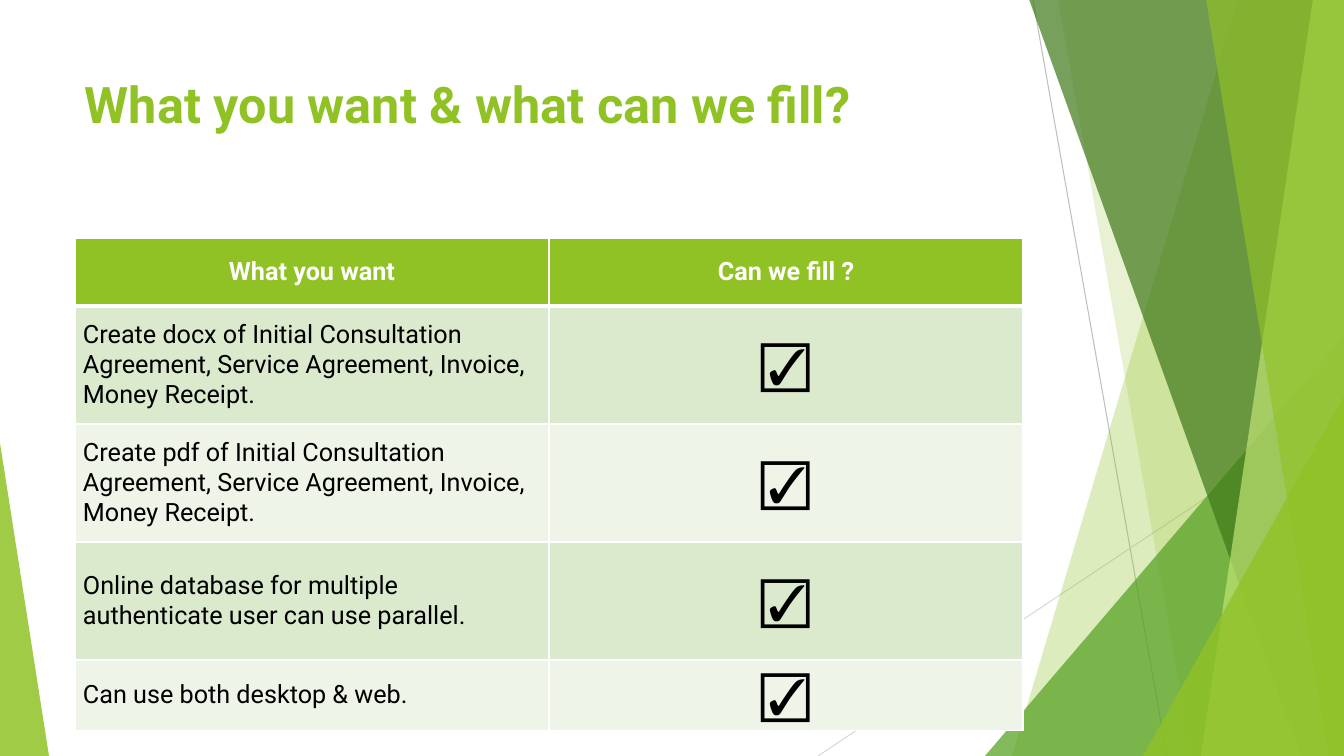
from lxml import etree
from pptx import Presentation
from pptx import util as u
from pptx.dml.color import RGBColor
from pptx.enum import shapes, text
from pptx.oxml import ns

COLORS = {
    "lime": "90C226",
    "green": "54A021",
    "forest": "3F7819",
    "pale": "C0E474",
    "band_dark": "DBE9CD",
    "band_light": "EEF4E8",
    "gray": "BFBFBF",
    "silver": "D9D9D9",
    "white": "FFFFFF",
    "black": "000000",
}
WIDTH, HEIGHT = 1344, 756


class SlidePainter:
    font = "Roboto"
    scale = u.Inches(1) / 100.8

    def __init__(self, deck):
        self.page = deck.slides.add_slide(deck.slide_layouts[6])

    @classmethod
    def px(cls, length):
        return u.Emu(round(length * cls.scale))

    def color(self, name):
        return RGBColor.from_string(COLORS[name])

    def paint(self, shape, color, opacity):
        shape.shadow.inherit = False
        shape.line.fill.background()
        shape.fill.solid()
        shape.fill.fore_color.rgb = self.color(color)
        tint = shape._element.spPr.find(".//" + ns.qn("a:srgbClr"))
        etree.SubElement(tint, ns.qn("a:alpha"), val=str(opacity * 1000))

    def polygon(self, points, color, opacity):
        builder = self.page.shapes.build_freeform(*points[0], scale=self.scale)
        builder.add_line_segments(points[1:], close=True)
        self.paint(builder.convert_to_shape(), color, opacity)

    def triangle(self, left, top, width, apex, color, opacity):
        box = map(self.px, (left, top, width, HEIGHT - top))
        shape = self.page.shapes.add_shape(
            shapes.MSO_SHAPE.ISOSCELES_TRIANGLE, *box)
        shape.adjustments[0] = apex
        self.paint(shape, color, opacity)

    def line(self, start, end, color):
        ends = map(self.px, (*start, *end))
        line = self.page.shapes.add_connector(
            shapes.MSO_CONNECTOR.STRAIGHT, *ends)
        line.line.color.rgb = self.color(color)
        line.line.width = u.Pt(0.75)
        etree.SubElement(line._element.spPr, ns.qn("a:effectLst"))

    def add_span(self, para, words, size, color, bold=False):
        span = para.add_run()
        span.text = words
        span.font.name = self.font
        span.font.size = u.Pt(size)
        span.font.bold = bold
        span.font.color.rgb = self.color(color)

    def title(self, left, top, width, height, words):
        box = self.page.shapes.add_textbox(
            *map(self.px, (left, top, width, height)))
        box.text_frame.word_wrap = True
        box.text_frame.vertical_anchor = text.MSO_ANCHOR.TOP
        self.add_span(box.text_frame.paragraphs[0], words, 36, "lime", True)

    def border(self, cell, side, points):
        edge = etree.SubElement(cell._tc.get_or_add_tcPr(),
                                ns.qn("a:ln" + side), w=str(u.Pt(points)))
        fill = etree.SubElement(edge, ns.qn("a:solidFill"))
        etree.SubElement(fill, ns.qn("a:srgbClr"), val=COLORS["white"])

    def cell(self, cell, words, size, color, fill, centered, borders, bold):
        for side, points in borders.items():
            self.border(cell, side, points)
        cell.fill.solid()
        cell.fill.fore_color.rgb = self.color(fill)
        cell.vertical_anchor = text.MSO_ANCHOR.MIDDLE
        cell.margin_left = cell.margin_right = self.px(8)
        cell.margin_top = cell.margin_bottom = self.px(5)
        para = cell.text_frame.paragraphs[0]
        if centered:
            para.alignment = text.PP_ALIGN.CENTER
        self.add_span(para, words, size, color, bold)

    def table(self, left, top, column_width, heights, rows):
        frame = self.page.shapes.add_table(
            len(rows), len(rows[0]),
            *map(self.px, (left, top, column_width * len(rows[0]), sum(heights))))
        table = frame.table
        table.first_row = table.horz_banding = False
        for column in table.columns:
            column.width = self.px(column_width)
        for r, (height, row) in enumerate(zip(heights, rows)):
            table.rows[r].height = self.px(height)
            header = r == 0
            fill = "lime" if header else ("band_light", "band_dark")[r % 2]
            borders = {"L": 1, "R": 1, "T": 3 if r == 1 else 1,
                       "B": 3 if header else 1}
            for c, words in enumerate(row):
                self.cell(table.cell(r, c), words,
                          36 if c and not header else 18,
                          "white" if header else "black",
                          fill, header or c == 1, borders, header)


def main():
    deck = Presentation()
    deck.slide_width = SlidePainter.px(WIDTH)
    deck.slide_height = SlidePainter.px(HEIGHT)
    painter = SlidePainter(deck)

    painter.line((1033, 0), (1167, HEIGHT), "gray")
    painter.line((WIDTH, 406), (818, HEIGHT), "silver")

    def facet(top_left, bottom_left, color, opacity):
        painter.polygon([(top_left, -1), (WIDTH, -1), (WIDTH, HEIGHT),
                         (bottom_left, HEIGHT)], color, opacity)

    facet(1238, 1012, "lime", 30)
    facet(1058, 1192, "lime", 20)
    painter.triangle(985, 336, 359, 1, "green", 72)
    facet(1029, 1301, "forest", 70)
    facet(1313, 1201, "pale", 70)
    facet(1206, 1329, "lime", 65)
    painter.triangle(1143, 396, 201, 1, "lime", 80)
    painter.triangle(0, 443, 49, 0, "lime", 85)

    painter.title(75, 68, 948, 145, "What you want & what can we fill?")
    agreements = ("Initial Consultation Agreement, Service Agreement, "
                  "Invoice, Money Receipt.")
    wants = [
        f"Create docx of {agreements}",
        f"Create pdf of {agreements}",
        "Online database for multiple authenticate user can use parallel.",
        "Can use both desktop & web.",
    ]
    painter.table(75, 238, 474, [68, 118, 118, 118, 68],
                  [("What you want", "Can we fill ?")]
                  + [(want, "☑") for want in wants])
    deck.save("out.pptx")


if __name__ == "__main__":
    main()
